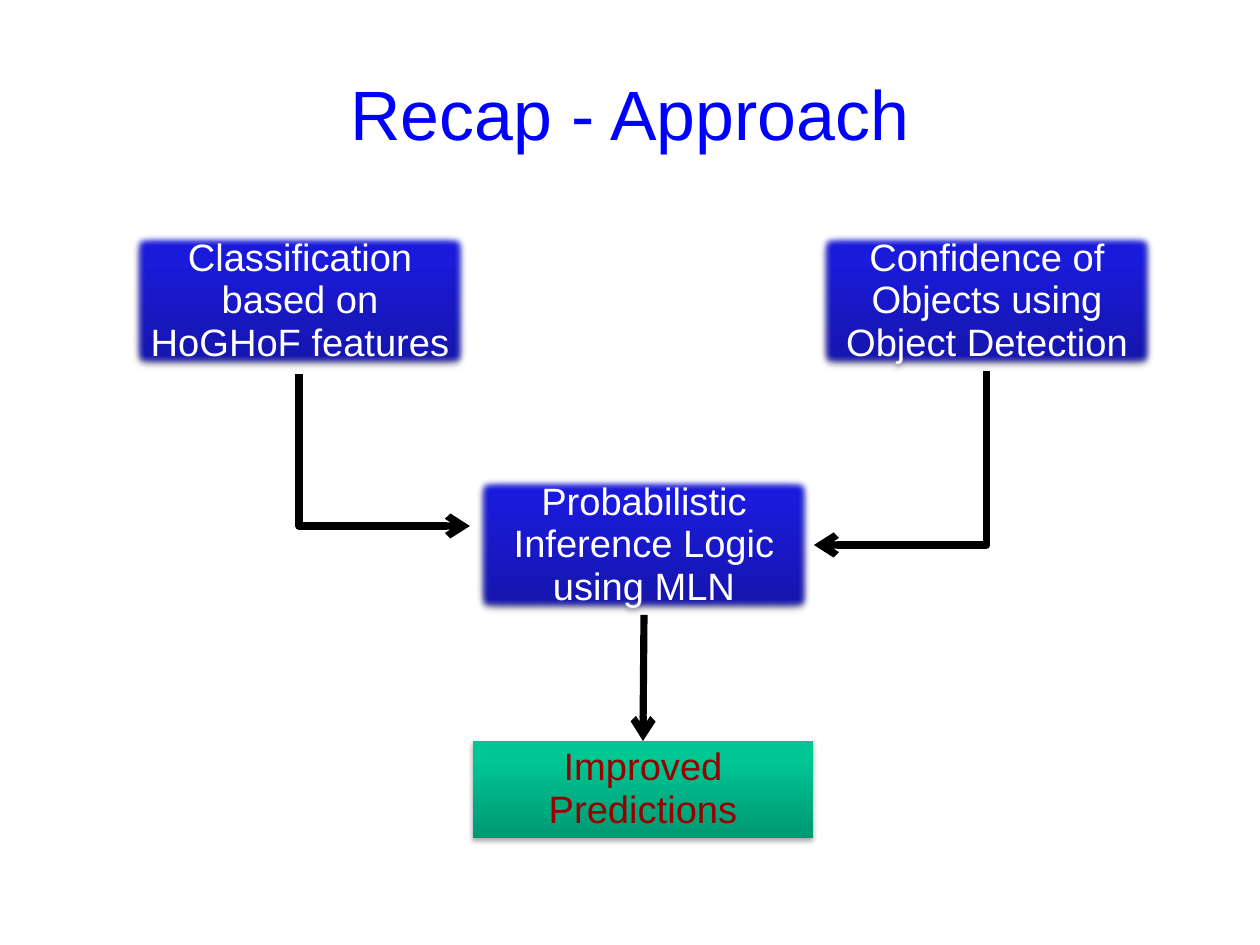
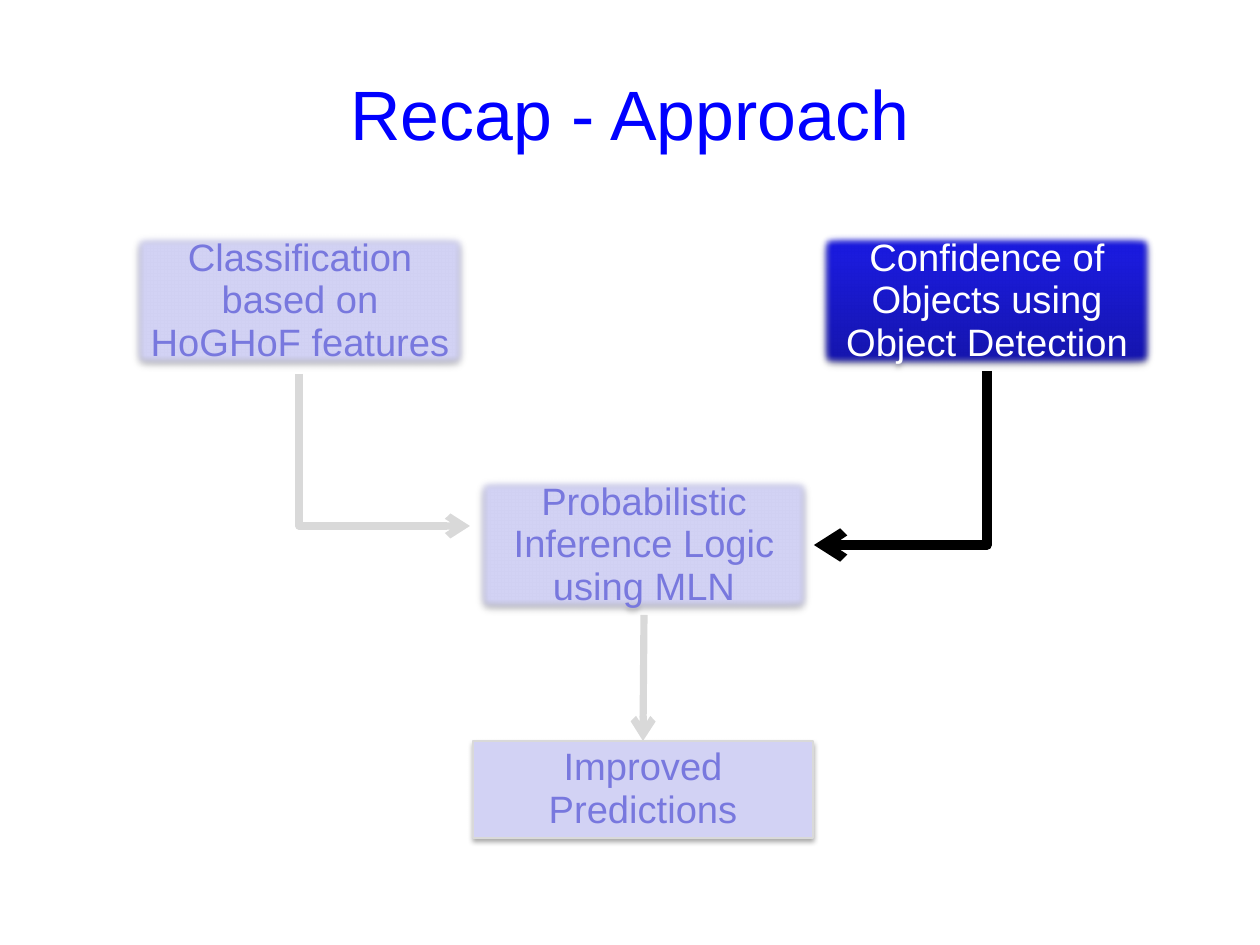
from copy import deepcopy

from lxml.etree import SubElement
from pptx import Presentation
from pptx.dml.color import RGBColor
from pptx.enum.shapes import MSO_CONNECTOR as Connector, MSO_SHAPE as Shape
from pptx.enum.text import MSO_ANCHOR as Anchor, PP_ALIGN as Align
from pptx.oxml.ns import qn
from pptx.util import Pt

PX = 8000
SLIDE_SIZE = (1260, 945)
TITLE_BOX = (63, 38, 1134, 158)
DIAGRAM_BOX = (130, 231, 1027, 607)
FONT = "Arial"
COLORS = {
    "title": "0000FF",
    "white": "FFFFFF",
    "black": "000000",
    "red": "990000",
    "faded": "D2D2F4",
    "faded_text": "7878DE",
    "faded_line": "D9D9D9",
    "blue_low": "1515A9",
    "blue_mid": "1B1BDC",
    "blue_high": "1818E1",
    "green_low": "009872",
    "green_mid": "00C694",
    "green_high": "00C795",
}
STEPS = {
    "classification": ("Classification based on HoGHoF features", (0, 0, 340, 140), "blue"),
    "confidence": ("Confidence of Objects using Object Detection", (687, 0, 340, 140), "blue"),
    "predictions": ("Improved Predictions", (343, 510, 340, 97), "green"),
    "inference": ("Probabilistic Inference Logic using MLN", (344, 244, 340, 140), "blue"),
}
TEXT_COLORS = {"blue": "white", "green": "red"}


def color(name):
    """Return the named colour."""
    return RGBColor.from_string(COLORS[name])


def px(*lengths):
    """Turn pixel lengths into EMU."""
    return [length * PX for length in lengths]


def write(shape, text, size, color_name):
    """Write one centred paragraph into a shape."""
    shape.text_frame.text = text
    shape.text_frame.word_wrap = True
    shape.text_frame.vertical_anchor = Anchor.MIDDLE
    paragraph = shape.text_frame.paragraphs[0]
    paragraph.alignment = Align.CENTER
    paragraph.line_spacing = 0.93
    paragraph.font.name = FONT
    paragraph.font.size = Pt(size)
    paragraph.font.color.rgb = color(color_name)


def add_title(slide, text, box):
    """Place and format the slide title."""
    title = slide.shapes.title
    title.left, title.top, title.width, title.height = px(*box)
    write(title, text, 44, "title")
    frame = title.text_frame
    frame.margin_left = frame.margin_top = frame.margin_right = frame.margin_bottom = 0


def fill_gradient(shape, hue):
    """Fill a shape with a three-stop gradient, darkest at the bottom."""
    shape.fill.gradient()
    shape.fill.gradient_angle = 90
    stop_list = shape.element.xpath("./p:spPr/a:gradFill/a:gsLst")[0]
    stop_list.append(deepcopy(stop_list[-1]))
    levels = (("low", 0), ("mid", 0.8), ("high", 1))
    for stop, (level, position) in zip(shape.fill.gradient_stops, levels):
        stop.color.rgb = color(f"{hue}_{level}")
        stop.position = position


def add_effects(shape, soft):
    """Give a shape a drop shadow and, if asked, soft edges."""
    shape.shadow.inherit = False
    effects = shape.element.xpath("./p:spPr/a:effectLst")[0]
    shadow = SubElement(effects, qn("a:outerShdw"), blurRad="40000", dist="23000",
                        dir="5400000", rotWithShape="0")
    shade = SubElement(shadow, qn("a:srgbClr"), val=COLORS["black"])
    SubElement(shade, qn("a:alpha"), val="35000")
    if soft:
        SubElement(effects, qn("a:softEdge"), rad="63500")


def add_step(slide, text, box, hue, active):
    """Draw one step of the approach, faded unless active."""
    shape = slide.shapes.add_shape(Shape.RECTANGLE, *px(*box))
    shape.line.fill.background()
    if active:
        fill_gradient(shape, hue)
    else:
        shape.fill.solid()
        shape.fill.fore_color.rgb = color("faded")
        if hue == "green":
            shape.line.color.rgb = color("faded_line")
            shape.line.width = Pt(0.75)
    add_effects(shape, soft=hue == "blue")
    write(shape, text, 24, TEXT_COLORS[hue] if active else "faded_text")
    return shape


def add_arrow(slide, kind, start, end, active, width=4.5):
    """Draw an arrow; an elbow goes down first, then sideways."""
    arrow = slide.shapes.add_connector(kind, *px(*start, *end))
    arrow.line.color.rgb = color("black" if active else "faded_line")
    arrow.line.width = Pt(width)
    properties = arrow.element.spPr
    SubElement(properties.find(qn("a:ln")), qn("a:tailEnd"), type="arrow")
    SubElement(properties, qn("a:effectLst"))
    if kind == Connector.ELBOW:
        guides = arrow.element.xpath("./p:spPr/a:prstGeom/a:avLst")[0]
        SubElement(guides, qn("a:gd"), name="adj1", fmla="val 0")
    return arrow


def add_diagram(slide, box, active, confidence_width):
    """Draw the steps and the arrows between them."""
    left, top = box[:2]
    shapes = {}
    for name, (text, (x, y, width, height), hue) in STEPS.items():
        place = (left + x, top + y, width, height)
        shapes[name] = add_step(slide, text, place, hue, name in active)
    add_arrow(slide, Connector.ELBOW, (left + 169, top + 143), (left + 340, top + 295),
              "classification" in active)
    add_arrow(slide, Connector.ELBOW, (left + 857, top + 140), (left + 684, top + 314),
              "confidence" in active, confidence_width)
    arrow = add_arrow(slide, Connector.STRAIGHT, (left + 514, top + 384),
                      (left + 513, top + 510), "inference" in active)
    arrow.begin_connect(shapes["inference"], 2)
    arrow.end_connect(shapes["predictions"], 0)


def main():
    """Build and save the presentation."""
    presentation = Presentation()
    presentation.slide_width, presentation.slide_height = px(*SLIDE_SIZE)
    for active, confidence_width in ((set(STEPS), 4.5), ({"confidence"}, 6)):
        slide = presentation.slides.add_slide(presentation.slide_layouts[5])
        add_title(slide, "Recap - Approach", TITLE_BOX)
        add_diagram(slide, DIAGRAM_BOX, active, confidence_width)
    presentation.save("out.pptx")


if __name__ == "__main__":
    main()
